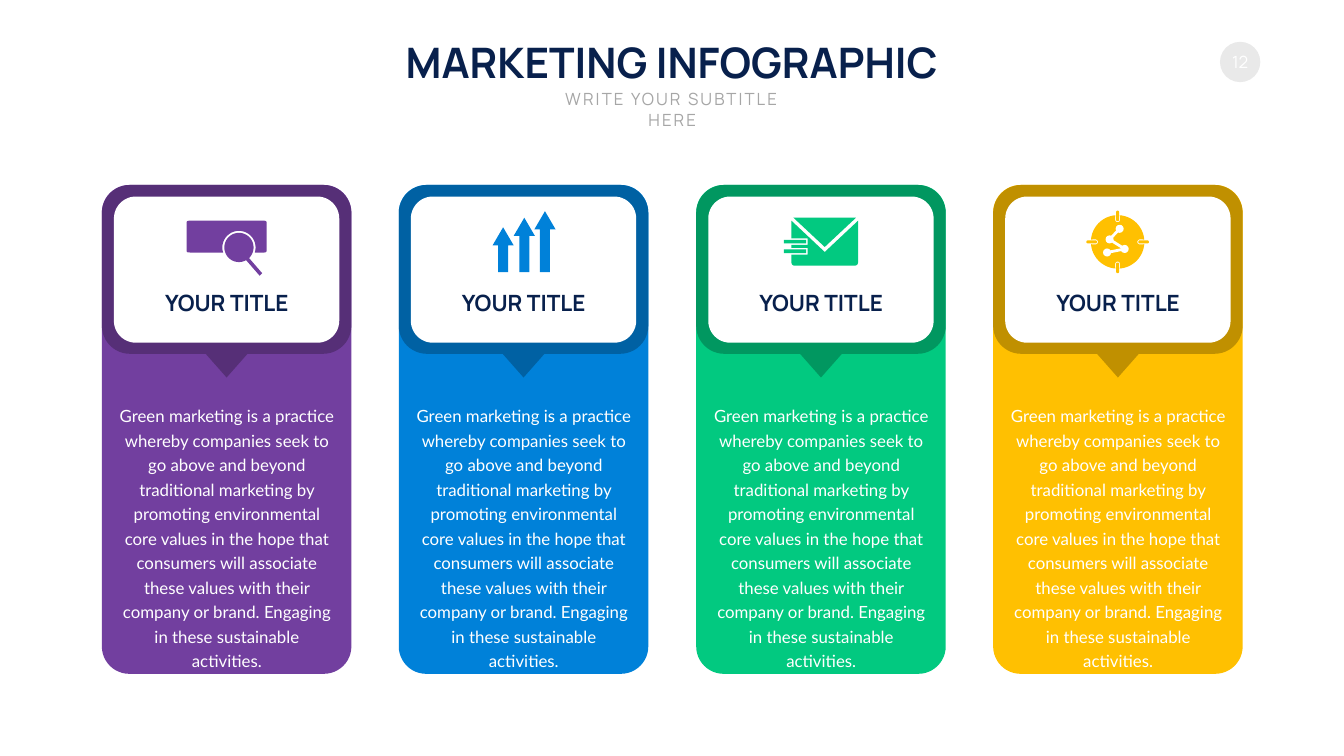
from math import cos, radians, sin

from lxml.etree import SubElement
from pptx import Presentation
from pptx.dml.color import RGBColor
from pptx.enum.shapes import MSO_CONNECTOR as Connector, MSO_SHAPE as Shape
from pptx.enum.text import MSO_ANCHOR as Anchor, PP_ALIGN as Align
from pptx.oxml.ns import qn
from pptx.util import Emu, Pt

PX = 9144
COLORS = {
    "white": "FFFFFF", "navy": "08204C", "gray": "A6A6A6", "badge": "E9E9E9",
    "purple": "723F9F", "dark purple": "562F77", "blue": "0081D9", "dark blue": "0061A3",
    "green": "02C980", "dark green": "019760", "yellow": "FFC001", "dark yellow": "C09000",
}
BODY = (
    "Green marketing is a practice whereby companies seek to go above and beyond "
    "traditional marketing by promoting environmental core values in the hope that "
    "consumers will associate these values with their company or brand. Engaging in "
    "these sustainable activities."
)


def px(length):
    """Turn px into EMU."""
    return Emu(round(length * PX))


def rgb(name):
    """Look up a named colour."""
    return RGBColor.from_string(COLORS[name])


def paint(shape, color):
    """Give a shape a flat fill with no line or shadow."""
    shape.shadow.inherit = False
    shape.fill.solid()
    shape.fill.fore_color.rgb = rgb(color)
    shape.line.fill.background()


def add_block(slide, kind, box, color, corner=None):
    """Add a filled preset shape."""
    shape = slide.shapes.add_shape(kind, *map(px, box))
    if corner is not None:
        shape.adjustments[0] = corner
    paint(shape, color)
    return shape


def add_text(slide, box, text, font="Manrope", size=24, color="white", bold=False,
             wrap=True, anchor=Anchor.TOP, leading=None, tracking=None):
    """Add a centred one-paragraph text box."""
    frame = slide.shapes.add_textbox(*map(px, box)).text_frame
    frame.word_wrap = wrap
    frame.vertical_anchor = anchor
    paragraph = frame.paragraphs[0]
    paragraph.alignment = Align.CENTER
    if leading:
        paragraph.line_spacing = Pt(leading)
    run = paragraph.add_run()
    run.text = text
    run.font.name, run.font.size, run.font.bold = font, Pt(size), bold
    run.font.color.rgb = rgb(color)
    if tracking:
        run.font._element.set("spc", str(tracking * 100))


def add_outline(slide, left, top, contours, color):
    """Add one freeform made of closed contours."""
    contours = [[(px(left + x), px(top + y)) for x, y in points] for points in contours]
    builder = slide.shapes.build_freeform(*contours[0][0], scale=1.0)
    builder.add_line_segments(contours[0][1:], close=True)
    for points in contours[1:]:
        builder.move_to(*points[0])
        builder.add_line_segments(points[1:], close=True)
    paint(builder.convert_to_shape(), color)


def arc(x, y, radius, start, end, steps=24):
    """List points along a circular arc, in degrees."""
    angles = [radians(start + (end - start) * step / steps) for step in range(steps + 1)]
    return [(x + radius * cos(angle), y + radius * sin(angle)) for angle in angles]


def rectangle(left, top, right, bottom):
    """List the corners of a rectangle."""
    return [(left, top), (right, top), (right, bottom), (left, bottom)]


def draw_search(slide, left, top, color):
    """Draw a search bar with a magnifier."""
    bar = (arc(172, 75, 4, 180, 270, 6) + arc(323, 75, 4, 270, 360, 6)
           + arc(323, 130, 4, 0, 90, 6) + arc(272, 124, 33, 18, -198)
           + arc(172, 130, 4, 90, 180, 6))
    lens = arc(272, 124, 29, 0, 360, 48)
    handle = [(292, 145), (318, 175), (313, 180), (286, 149)]
    add_outline(slide, left, top, [bar, lens, handle], color)


def draw_arrows(slide, left, top, color):
    """Draw three rising arrows."""
    arrows = []
    for x, y in ((207, 84), (249, 65), (290, 52)):
        neck = y + 36
        arrows.append([(x, y), (x + 21, neck), (x + 10, neck), (x + 10, 173),
                       (x - 10, 173), (x - 10, neck), (x - 21, neck)])
    add_outline(slide, left, top, arrows, color)


def draw_mail(slide, left, top, color):
    """Draw an envelope with two speed bars."""
    body = [(189, 71), (255, 133), (321, 71)]
    body += arc(315, 154, 6, 0, 90, 6) + arc(195, 154, 6, 90, 180, 6)
    for bottom in (138, 119):
        body += [(189, bottom), (221, bottom), (221, bottom - 13), (189, bottom - 13)]
    flap = [(193, 65), (317, 65), (255, 123)]
    bars = [rectangle(174, y, 218, y + 7) for y in (109, 128)]
    add_outline(slide, left, top, [body, flap, *bars], color)


def draw_target(slide, left, top, color):
    """Draw a notched target holding a chain of nodes."""
    x, y = 247, 113
    disc, pins = [], []
    for turn in (0, 90, 180, 270):
        along, across = cos(radians(turn)), sin(radians(turn))
        disc += arc(x + 44 * along, y + 44 * across, 5, turn + 270, turn + 90, 8)
        disc += arc(x, y, 53, turn + 5, turn + 85)
        pins.append(arc(x + 59 * along, y + 59 * across, 3, turn - 90, turn + 90, 8)
                    + arc(x + 44 * along, y + 44 * across, 3, turn + 90, turn + 270, 8))
    add_outline(slide, left, top, [disc, *pins], color)
    nodes = [(left + a, top + b) for a, b in ((251, 87), (231, 108), (261, 127), (226, 134))]
    for start, end in zip(nodes, nodes[1:]):
        link = slide.shapes.add_connector(Connector.STRAIGHT, *map(px, start + end))
        link.line.color.rgb = rgb("white")
        link.line.width = Pt(4)
        SubElement(link._element.spPr, qn("a:effectLst"))
    for a, b in nodes:
        add_block(slide, Shape.OVAL, (a - 8, b - 8, 16, 16), "white")


def add_header(slide, left, top, width):
    """Add the title, subtitle and page badge."""
    add_text(slide, (left + 771, top, 1123, 111), "MARKETING INFOGRAPHIC", size=60,
             color="navy", bold=True, wrap=False)
    add_text(slide, (left + 1062, top + 105, 543, 50), "WRITE YOUR SUBTITLE HERE",
             color="gray", tracking=3)
    badge = (left + width - 246, top + 16, 80, 80)
    add_block(slide, Shape.OVAL, badge, "badge")
    add_text(slide, badge, "12", anchor=Anchor.MIDDLE)


def add_card(slide, left, top, width, height, color, draw_icon):
    """Add one card with its icon, title and body."""
    dark = f"dark {color}"
    add_block(slide, Shape.ROUNDED_RECTANGLE, (left, top, width, height), color, 0.11)
    add_block(slide, Shape.ROUNDED_RECTANGLE, (left, top, width, 335), dark)
    add_block(slide, Shape.ROUNDED_RECTANGLE, (left + 24, top + 23, width - 48, 290),
              "white", 0.15)
    pointer = add_block(slide, Shape.ISOSCELES_TRIANGLE, (left + 206, top + 335, 83, 47), dark)
    pointer.rotation = 180
    add_text(slide, (left + 24, top + 425, 448, 496), BODY, font="Lato", leading=35)
    draw_icon(slide, left, top, color)
    add_text(slide, (left + 114, top + 202, 268, 64), "YOUR TITLE", size=32,
             color="navy", bold=True, wrap=False, anchor=Anchor.MIDDLE)


def main():
    """Build and save the slide."""
    presentation = Presentation()
    presentation.slide_width, presentation.slide_height = px(2666), px(1500)
    slide = presentation.slides.add_slide(presentation.slide_layouts[6])
    add_header(slide, 0, 67, 2666)
    cards = [("purple", draw_search), ("blue", draw_arrows),
             ("green", draw_mail), ("yellow", draw_target)]
    first, last = 202, 1970
    for index, (color, draw_icon) in enumerate(cards):
        left = round(first + index * (last - first) / (len(cards) - 1))
        add_card(slide, left, 367, 495, 970, color, draw_icon)
    presentation.save("out.pptx")


if __name__ == "__main__":
    main()
